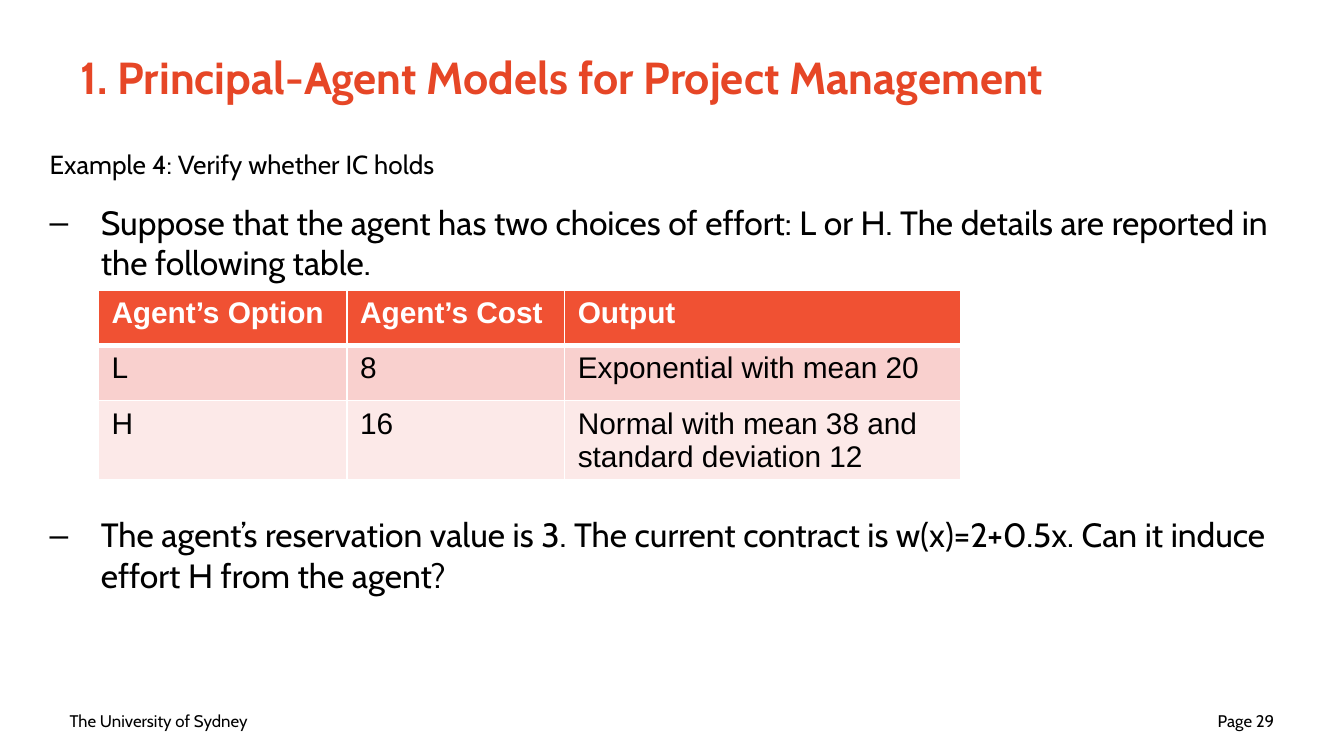
import pptx
import pptx.dml.color
import pptx.enum.text
import pptx.oxml.ns
import pptx.util
from lxml import etree
from pptx.util import Inches

ORANGE = pptx.dml.color.RGBColor(0xE6, 0x46, 0x26)
HEADER_FILL = pptx.dml.color.RGBColor(0xF0, 0x51, 0x33)
ROW_FILLS = [
    HEADER_FILL,
    pptx.dml.color.RGBColor(0xF9, 0xD0, 0xCE),
    pptx.dml.color.RGBColor(0xFC, 0xE9, 0xE8),
]
WHITE = pptx.dml.color.RGBColor(0xFF, 0xFF, 0xFF)
BLACK = pptx.dml.color.RGBColor(0, 0, 0)
LEFT = pptx.enum.text.PP_ALIGN.LEFT
RIGHT = pptx.enum.text.PP_ALIGN.RIGHT
MIDDLE = pptx.enum.text.MSO_ANCHOR.MIDDLE
TOP = pptx.enum.text.MSO_ANCHOR.TOP


def format_text(paragraph, size, color, bold=False, font="Cabin", align=LEFT):
    paragraph.alignment = align
    for run in paragraph.runs:
        run.font.name = font
        run.font.size = pptx.util.Pt(size)
        run.font.bold = bold
        run.font.color.rgb = color


def place(shape, left, top, width, height, anchor):
    shape.left, shape.top = Inches(left), Inches(top)
    shape.width, shape.height = Inches(width), Inches(height)
    shape.text_frame.word_wrap = True
    shape.text_frame.auto_size = pptx.enum.text.MSO_AUTO_SIZE.NONE
    shape.text_frame.vertical_anchor = anchor


presentation = pptx.Presentation()
presentation.slide_width = Inches(10)
presentation.slide_height = Inches(10) * 9 // 16
slide = presentation.slides.add_slide(presentation.slide_layouts[3])

title = slide.shapes.title
place(title, 0.5, 0.1, 9, 0.94, MIDDLE)
title.text_frame.text = "1. Principal-Agent Models for Project Management"
format_text(title.text_frame.paragraphs[0], 24, ORANGE, bold=True)

example = slide.placeholders[1]
place(example, 0.27, 1.04, 9.47, 0.4, MIDDLE)
example.text_frame.margin_left = Inches(0.1)
example.text_frame.margin_top = 0
example.text_frame.margin_right = 0
example.text_frame.margin_bottom = 0
example.text_frame.text = "Example 4: Verify whether IC holds"
heading = example.text_frame.paragraphs[0]
heading_properties = heading._p.get_or_add_pPr()
heading_properties.set("marL", "0")
heading_properties.set("indent", "0")
etree.SubElement(heading_properties, pptx.oxml.ns.qn("a:buNone"))
heading.space_before = pptx.util.Pt(0)
heading.line_spacing = pptx.util.Pt(13.5)
format_text(heading, 14, BLACK)

question = slide.placeholders[2]
place(question, 0.27, 1.45, 9.47, 3.84, TOP)
question.text_frame.text = (
    "Suppose that the agent has two choices of effort: L or H. "
    "The details are reported in the following table.\n"
    "The agent’s reservation value is 3. The current contract is "
    "w(x)=2+0.5x. Can it induce effort H from the agent?"
)
for paragraph, space_before in zip(question.text_frame.paragraphs, [0, 120.5]):
    properties = paragraph._p.get_or_add_pPr()
    properties.set("marL", str(Inches(0.38)))
    properties.set("indent", str(-Inches(0.38)))
    etree.SubElement(properties, pptx.oxml.ns.qn("a:buChar"), char="–")
    paragraph.space_before = pptx.util.Pt(space_before)
    paragraph.space_after = pptx.util.Pt(3.8)
    format_text(paragraph, 18, BLACK)

options = [
    ["Agent’s Option", "Agent’s Cost", "Output"],
    ["L", "8", "Exponential with mean 20"],
    ["H", "16", "Normal with mean 38 and standard deviation 12"],
]
table = slide.shapes.add_table(
    3, 3, Inches(0.73), Inches(2.16), Inches(6.42), Inches(1.23)
).table
for column, width in zip(table.columns, [1.85, 1.62, 2.95]):
    column.width = Inches(width)
for r, values in enumerate(options):
    table.rows[r].height = Inches(0.41)
    is_header = r == 0
    border_widths = {
        "L": 1,
        "R": 1,
        "T": 3 if r == 1 else 1,
        "B": 3 if is_header else 1,
    }
    for c, value in enumerate(values):
        cell = table.cell(r, c)
        cell_properties = cell._tc.get_or_add_tcPr()
        for side, width in border_widths.items():
            border = etree.SubElement(
                cell_properties,
                pptx.oxml.ns.qn(f"a:ln{side}"),
                w=str(pptx.util.Pt(width)),
            )
            line_fill = etree.SubElement(border, pptx.oxml.ns.qn("a:solidFill"))
            etree.SubElement(
                line_fill, pptx.oxml.ns.qn("a:srgbClr"), val=str(WHITE)
            )
        cell.fill.solid()
        cell.fill.fore_color.rgb = ROW_FILLS[r]
        cell.text_frame.text = value
        format_text(
            cell.text_frame.paragraphs[0],
            16,
            WHITE if is_header else BLACK,
            bold=is_header,
            font="Arial",
        )

for text, left, align in [
    ("The University of Sydney", 0.42, LEFT),
    ("Page 29", 7.25, RIGHT),
]:
    footer = slide.shapes.add_textbox(0, 0, 0, 0)
    place(footer, left, 5.21, 2.33, 0.3, MIDDLE)
    footer.text_frame.text = text
    format_text(footer.text_frame.paragraphs[0], 9, BLACK, align=align)

presentation.save("out.pptx")
